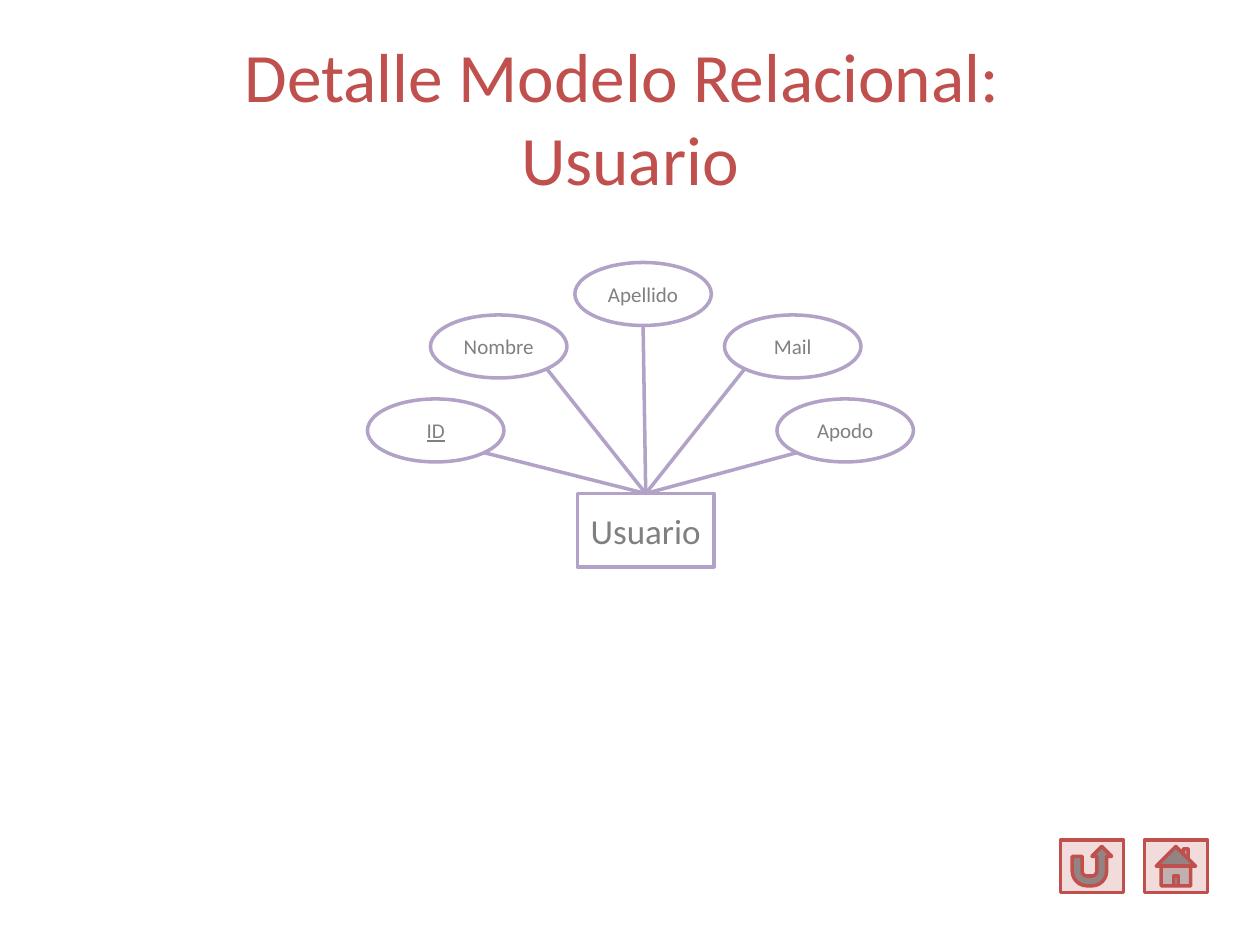
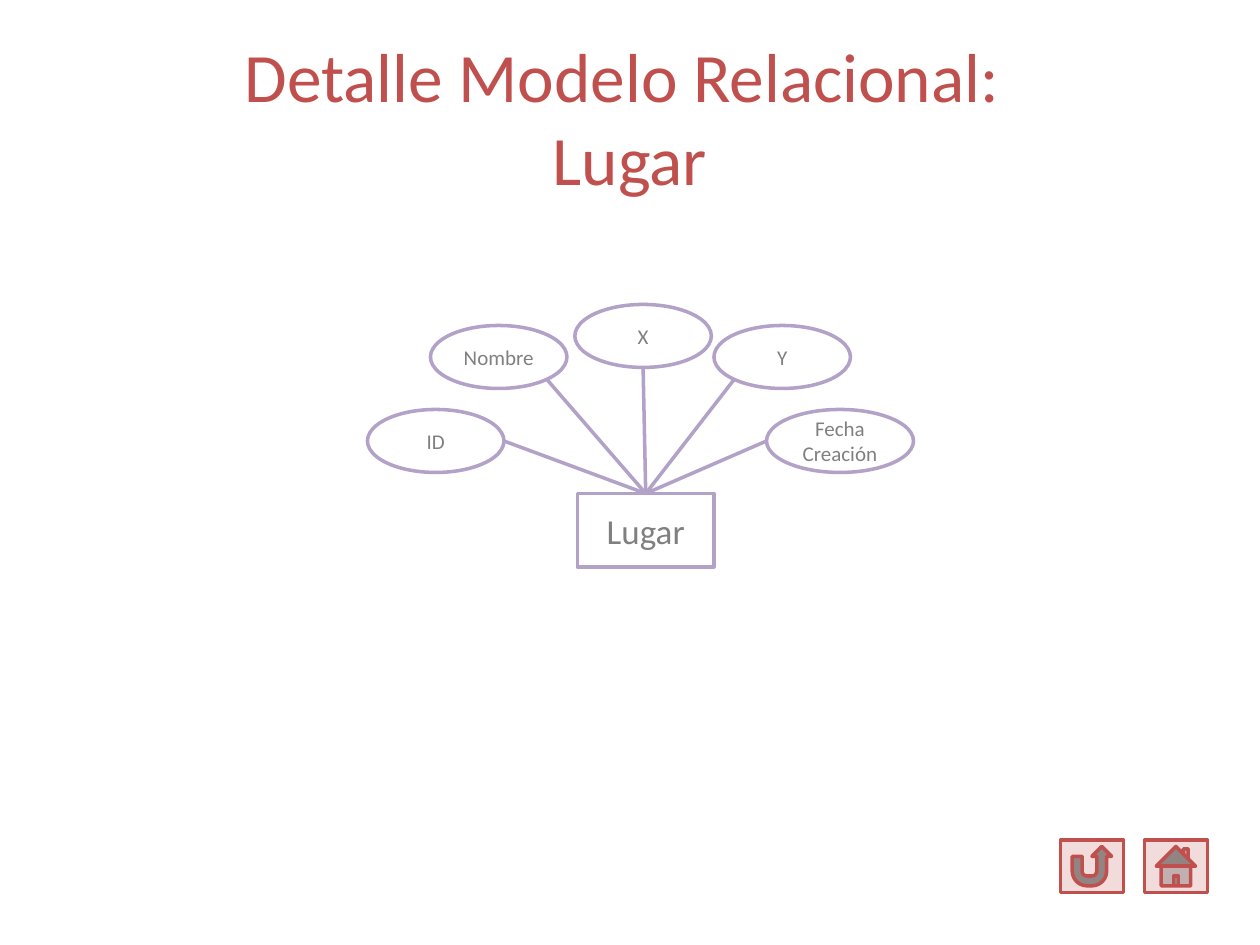
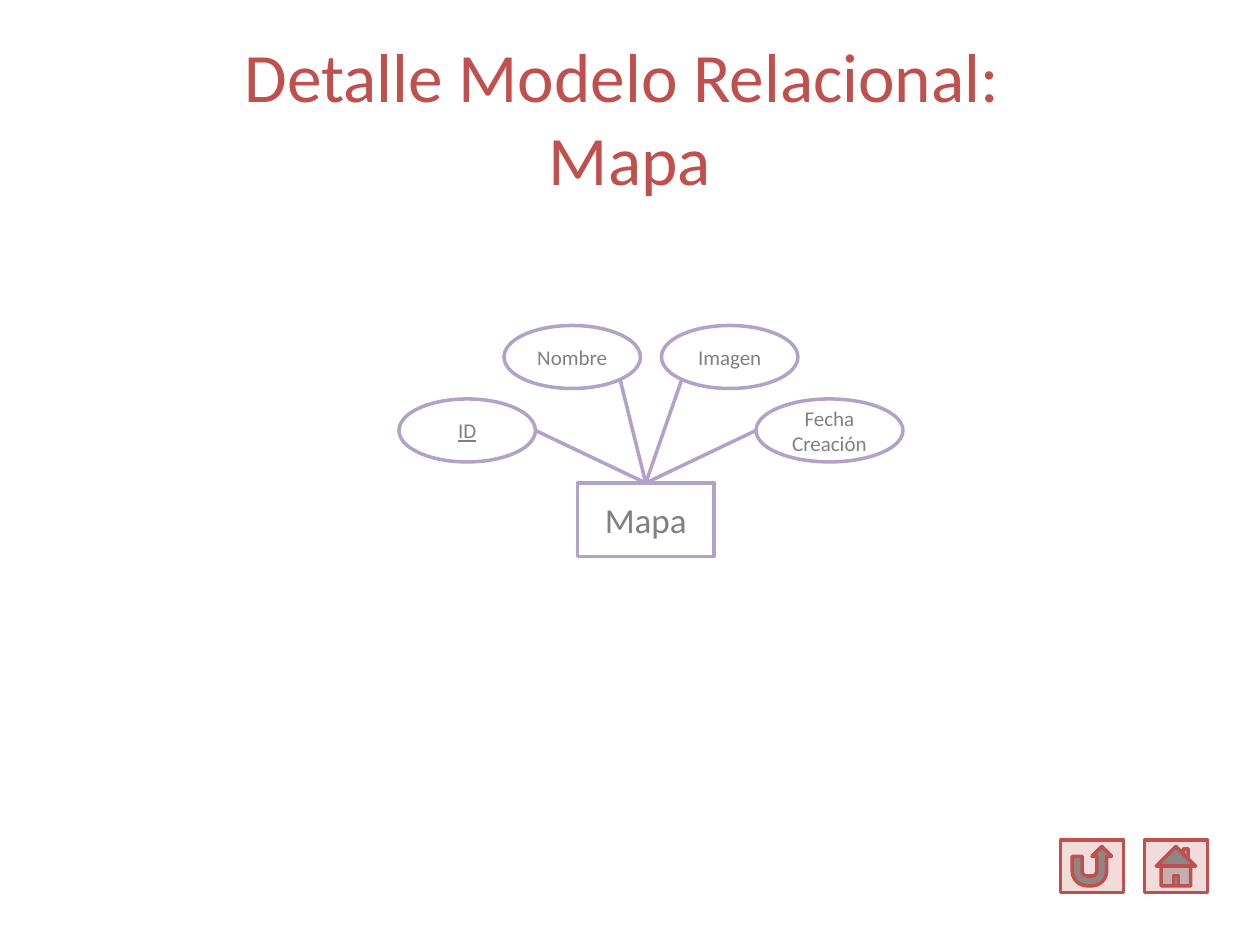
"""Builds three entity detail slides of a relational model on a grid of 1/12 inch."""
from lxml import etree
from pptx import Presentation
from pptx.dml.color import RGBColor
from pptx.enum.shapes import MSO_CONNECTOR, MSO_SHAPE
from pptx.enum.text import MSO_ANCHOR, PP_ALIGN
from pptx.oxml.ns import qn
from pptx.util import Inches, Pt

STRAIGHT = MSO_CONNECTOR.STRAIGHT
RECTANGLE, OVAL = MSO_SHAPE.RECTANGLE, MSO_SHAPE.OVAL
HOME, RETURN = MSO_SHAPE.ACTION_BUTTON_HOME, MSO_SHAPE.ACTION_BUTTON_RETURN
CENTER, MIDDLE = PP_ALIGN.CENTER, MSO_ANCHOR.MIDDLE

FONT = "Calibri"
RED, PINK, LILAC, GREY, WHITE = "C0504D", "F2DCDB", "B3A2C7", "808080", "FFFFFF"

TITLE_LEAD = "Detalle Modelo Relacional: "
TITLE_BOX = (6, 3.6, 108, 15)
ENTITY_LEFT, ENTITY_SIZE = 55, (13, 7)
OVAL_HEIGHT, OVAL_WIDTH, WIDE_OVAL = 6, 13, 14
BUTTONS = [(HOME, 109), (RETURN, 101)]
BUTTON_TOP, BUTTON_SIZE = 80, (6, 5)

# Share of the oval's width (towards the entity) and height where its link starts.
SITES = {"corner": (0.85, 0.85), "side": (1, 0.5), "bottom": (0.5, 1)}

ENTITIES = [
    {"name": "Usuario", "top": 47, "key": "ID", "attributes": [
        ("ID", 35, 38, "corner"), ("Nombre", 41, 30, "corner"),
        ("Apellido", 54.75, 25, "bottom"), ("Mail", 69, 30, "corner"),
        ("Apodo", 74, 38, "corner")]},
    {"name": "Lugar", "top": 47, "key": None, "attributes": [
        ("ID", 35, 39, "side"), ("Nombre", 41, 31, "corner"),
        ("X", 54.75, 29, "bottom"), ("Y", 68, 31, "corner"),
        ("Fecha Creación", 73, 39, "side")]},
    {"name": "Mapa", "top": 46, "key": "ID", "attributes": [
        ("ID", 38, 38, "side"), ("Nombre", 48, 31, "corner"),
        ("Imagen", 63, 31, "corner"), ("Fecha Creación", 72, 38, "side")]},
]


def grid(*units):
    return [Inches(unit / 12) for unit in units]


def color(value):
    return RGBColor.from_string(value)


def write(shape, text, size, ink, underline=None):
    frame = shape.text_frame
    frame.word_wrap = True
    frame.vertical_anchor = MIDDLE
    paragraph = frame.paragraphs[0]
    paragraph.text = text
    paragraph.alignment = CENTER
    for run in paragraph.runs:
        run.font.name = FONT
        run.font.size = Pt(size)
        run.font.underline = underline
        run.font.color.rgb = color(ink)


def outline(line, ink):
    line.color.rgb = color(ink)
    line.width = Pt(2)


def add_figure(slide, preset, box, fill=WHITE, ink=LILAC):
    figure = slide.shapes.add_shape(preset, *grid(*box))
    figure.shadow.inherit = False
    figure.fill.solid()
    figure.fill.fore_color.rgb = color(fill)
    outline(figure.line, ink)
    return figure


def add_link(slide, start, entity):
    link = slide.shapes.add_connector(STRAIGHT, *grid(*start), *grid(*start))
    link.end_connect(entity, 0)
    outline(link.line, LILAC)
    etree.SubElement(link._element.spPr, qn("a:effectLst"))


def add_attribute(slide, entity, label, left, top, site, is_key):
    width = WIDE_OVAL if " " in label else OVAL_WIDTH
    across, down = SITES[site]
    if left > ENTITY_LEFT:
        across = 1 - across
    oval = add_figure(slide, OVAL, (left, top, width, OVAL_HEIGHT))
    write(oval, label, 12, GREY, underline=is_key or None)
    add_link(slide, (left + across * width, top + down * OVAL_HEIGHT), entity)


def add_entity_slide(deck, name, top, key, attributes):
    slide = deck.slides.add_slide(deck.slide_layouts[6])
    title = slide.shapes.add_textbox(*grid(*TITLE_BOX))
    write(title, f"{TITLE_LEAD}\v{name}", 39.6, RED)
    entity = add_figure(slide, RECTANGLE, (ENTITY_LEFT, top, *ENTITY_SIZE))
    write(entity, name, 20, GREY)
    for label, left, oval_top, site in attributes:
        add_attribute(slide, entity, label, left, oval_top, site, label == key)
    for preset, left in BUTTONS:
        add_figure(slide, preset, (left, BUTTON_TOP, *BUTTON_SIZE), PINK, RED)


def main():
    deck = Presentation()
    deck.slide_width, deck.slide_height = Inches(10), Inches(7.5)
    for entity in ENTITIES:
        add_entity_slide(deck, **entity)
    deck.save("out.pptx")


if __name__ == "__main__":
    main()
